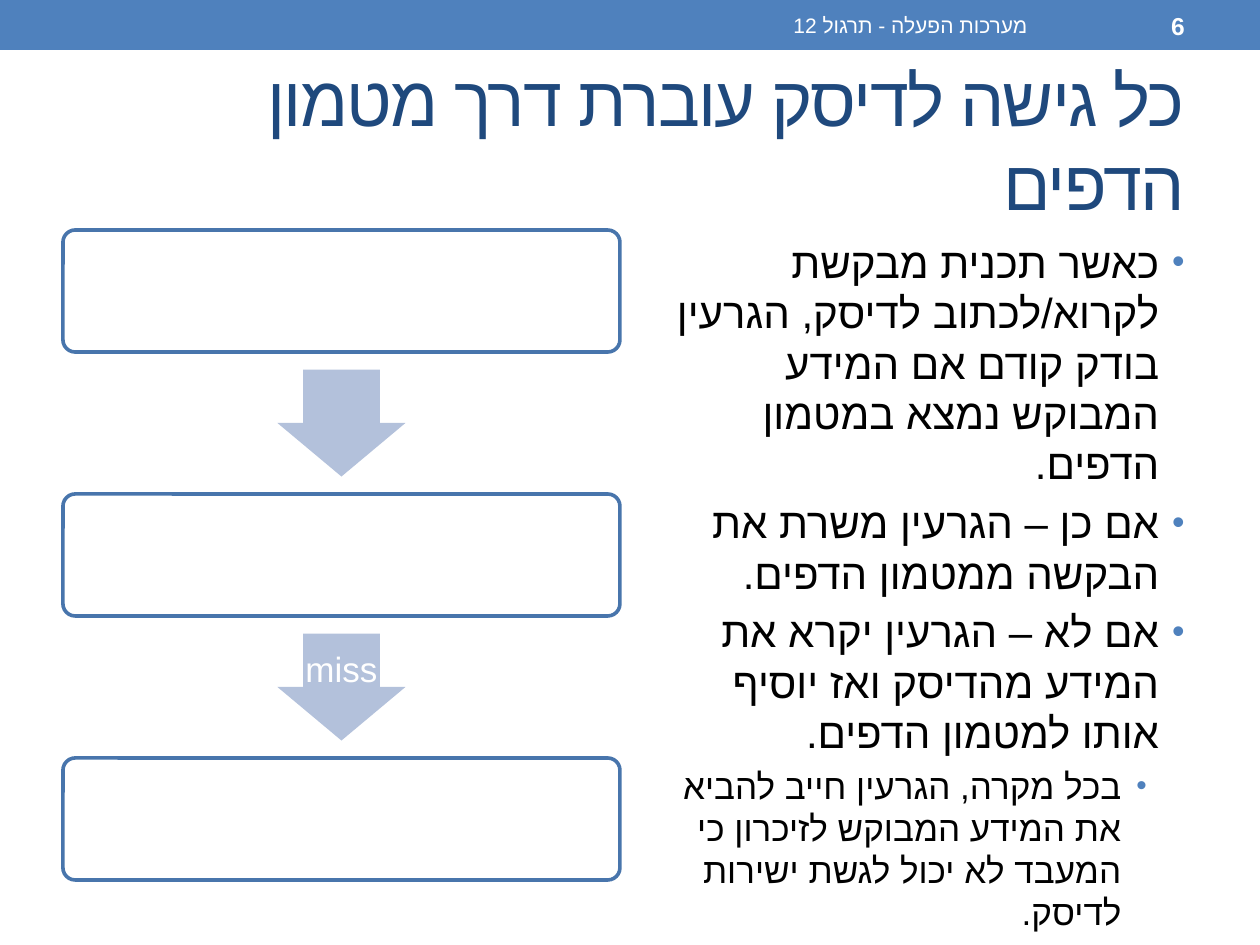
from pptx import Presentation
from pptx import util as u
from pptx.dml.color import RGBColor
from pptx.enum import shapes, text
from pptx.oxml.ns import qn
from lxml import etree

# Content
TITLE = "כל גישה לדיסק עוברת דרך מטמון הדפים"
COURSE = "מערכות הפעלה - תרגול 12"
PAGE_NUMBER = "6"
BULLETS = [  # level, text
    (0, "כאשר תכנית מבקשת לקרוא/לכתוב לדיסק, הגרעין בודק קודם אם המידע המבוקש נמצא במטמון הדפים."),
    (0, "אם כן – הגרעין משרת את הבקשה ממטמון הדפים."),
    (0, "אם לא – הגרעין יקרא את המידע מהדיסק ואז יוסיף אותו למטמון הדפים."),
    (1, "בכל מקרה, הגרעין חייב להביא את המידע המבוקש לזיכרון כי המעבד לא יכול לגשת ישירות לדיסק."),
]
ARROW_LABELS = ["", "miss"]

# Style
FONT = "Arial"
BLUE = RGBColor(0x4F, 0x81, 0xBD)
NAVY = RGBColor(0x1F, 0x49, 0x7D)
OUTLINE = RGBColor(0x48, 0x75, 0xAC)
PALE = RGBColor(0xB3, 0xC1, 0xDB)
BLACK = RGBColor(0, 0, 0)
WHITE = RGBColor(255, 255, 255)
LEVELS = [(24, 0.2), (20, 0.5)]  # font size, indent in inches
HANGING = 0.2

# Layout in px
PX = u.Inches(1) / 126
BOX_LEFT, BOX_TOP, BOX_W, BOX_H, BOX_STEP = 63, 230, 557, 122, 264
ARROW_W, ARROW_H = 128, 107
LABEL_W, LABEL_H = 77, 76


def px(*lengths):
    return [u.Emu(round(length * PX)) for length in lengths]


def add_shape(page, kind, place, fill, line=None):
    shape = page.shapes.add_shape(kind, *px(*place))
    shape.shadow.inherit = False
    shape.fill.solid()
    shape.fill.fore_color.rgb = fill
    if line is None:
        shape.line.fill.background()
    else:
        shape.line.color.rgb = line
        shape.line.width = u.Pt(2.08)
    return shape


def add_box(page, place, anchor=text.MSO_ANCHOR.MIDDLE):
    box = page.shapes.add_textbox(*px(*place))
    box.text_frame.word_wrap = True
    box.text_frame.vertical_anchor = anchor
    return box


def write(para, words, size, color, bold=False, rtl=True):
    para.text = words
    para.alignment = text.PP_ALIGN.RIGHT if rtl else text.PP_ALIGN.CENTER
    if rtl:
        para._p.get_or_add_pPr().set("rtl", "1")
    span = para.runs[0]
    span.font.name, span.font.size, span.font.bold = FONT, u.Pt(size), bold
    span.font.color.rgb = color
    etree.SubElement(span._r.get_or_add_rPr(), qn("a:cs")).set("typeface", FONT)
    return span


def add_bullet(para, indent):
    props = para._p.get_or_add_pPr()
    props.set("marL", str(u.Inches(indent)))
    props.set("indent", str(-u.Inches(HANGING)))
    before = etree.SubElement(props, qn("a:spcBef"))
    etree.SubElement(before, qn("a:spcPct")).set("val", "20000")
    color = etree.SubElement(props, qn("a:buClr"))
    etree.SubElement(color, qn("a:srgbClr")).set("val", str(BLUE))
    for tag, key, value in [("a:buSzPct", "val", "85000"),
                            ("a:buFont", "typeface", FONT),
                            ("a:buChar", "char", "•")]:
        etree.SubElement(props, qn(tag)).set(key, value)


def add_flow(page):
    middle = BOX_LEFT + BOX_W / 2
    gap = BOX_STEP - BOX_H
    for i in range(len(ARROW_LABELS) + 1):
        top = BOX_TOP + i * BOX_STEP
        box = add_shape(page, shapes.MSO_SHAPE.ROUNDED_RECTANGLE,
                        (BOX_LEFT, top, BOX_W, BOX_H), WHITE, OUTLINE)
        box.adjustments[0] = 0.1
    for i, label in enumerate(ARROW_LABELS):
        top = BOX_TOP + i * BOX_STEP + BOX_H + (gap - ARROW_H) / 2
        arrow = add_shape(page, shapes.MSO_SHAPE.DOWN_ARROW,
                          (middle - ARROW_W / 2, top, ARROW_W, ARROW_H), PALE)
        arrow.adjustments[0], arrow.adjustments[1] = 0.6, 0.5
        if label:
            frame = add_box(page, (middle - LABEL_W / 2, top, LABEL_W, LABEL_H)).text_frame
            frame.margin_left = frame.margin_right = 0
            frame.margin_top = frame.margin_bottom = 0
            write(frame.paragraphs[0], label, 20, WHITE, rtl=False)
            frame.paragraphs[0].line_spacing = 0.9


def main():
    deck = Presentation()
    deck.slide_width, deck.slide_height = px(1260, 945)
    page = deck.slides.add_slide(deck.slide_layouts[6])

    # Header band
    add_shape(page, shapes.MSO_SHAPE.RECTANGLE, (0, 0, 1260, 50), BLUE)
    course = add_box(page, (473, 3, 567, 45))
    write(course.text_frame.paragraphs[0], COURSE, 12, WHITE)
    number = add_box(page, (1050, 3, 147, 45))
    write(number.text_frame.paragraphs[0], PAGE_NUMBER, 14, WHITE, bold=True)

    # Title
    title = add_box(page, (63, 73, 1134, 136))
    span = write(title.text_frame.paragraphs[0], TITLE, 40, NAVY)
    span._r.get_or_add_rPr().set("spc", "-100")

    # Flow from request to disk
    add_flow(page)

    # Explanation
    frame = add_box(page, (640, 230, 557, 650), text.MSO_ANCHOR.TOP).text_frame
    for i, (level, words) in enumerate(BULLETS):
        para = frame.add_paragraph() if i else frame.paragraphs[0]
        para.level = level
        size, indent = LEVELS[level]
        write(para, words, size, BLACK)
        add_bullet(para, indent)

    deck.save("out.pptx")


if __name__ == "__main__":
    main()
